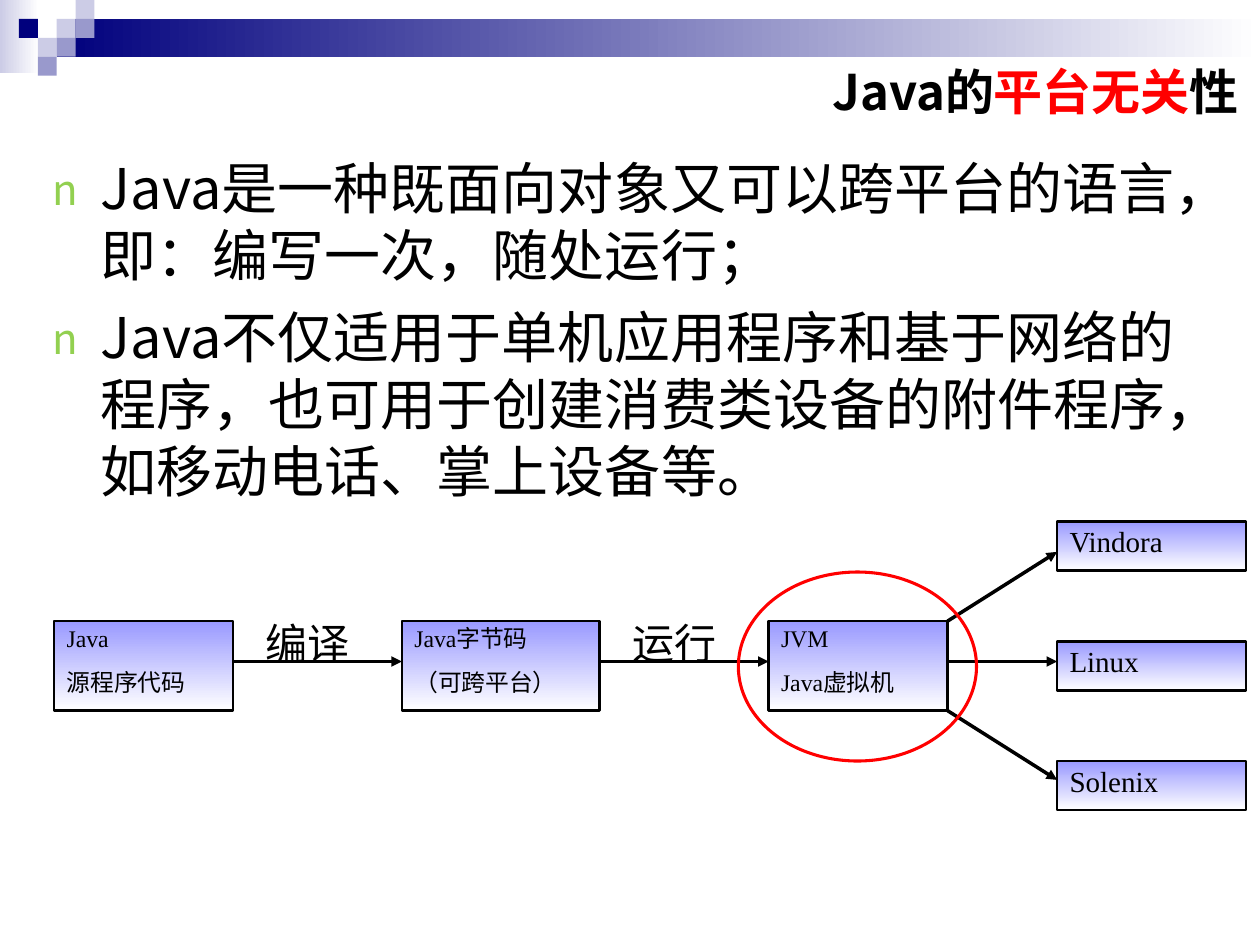
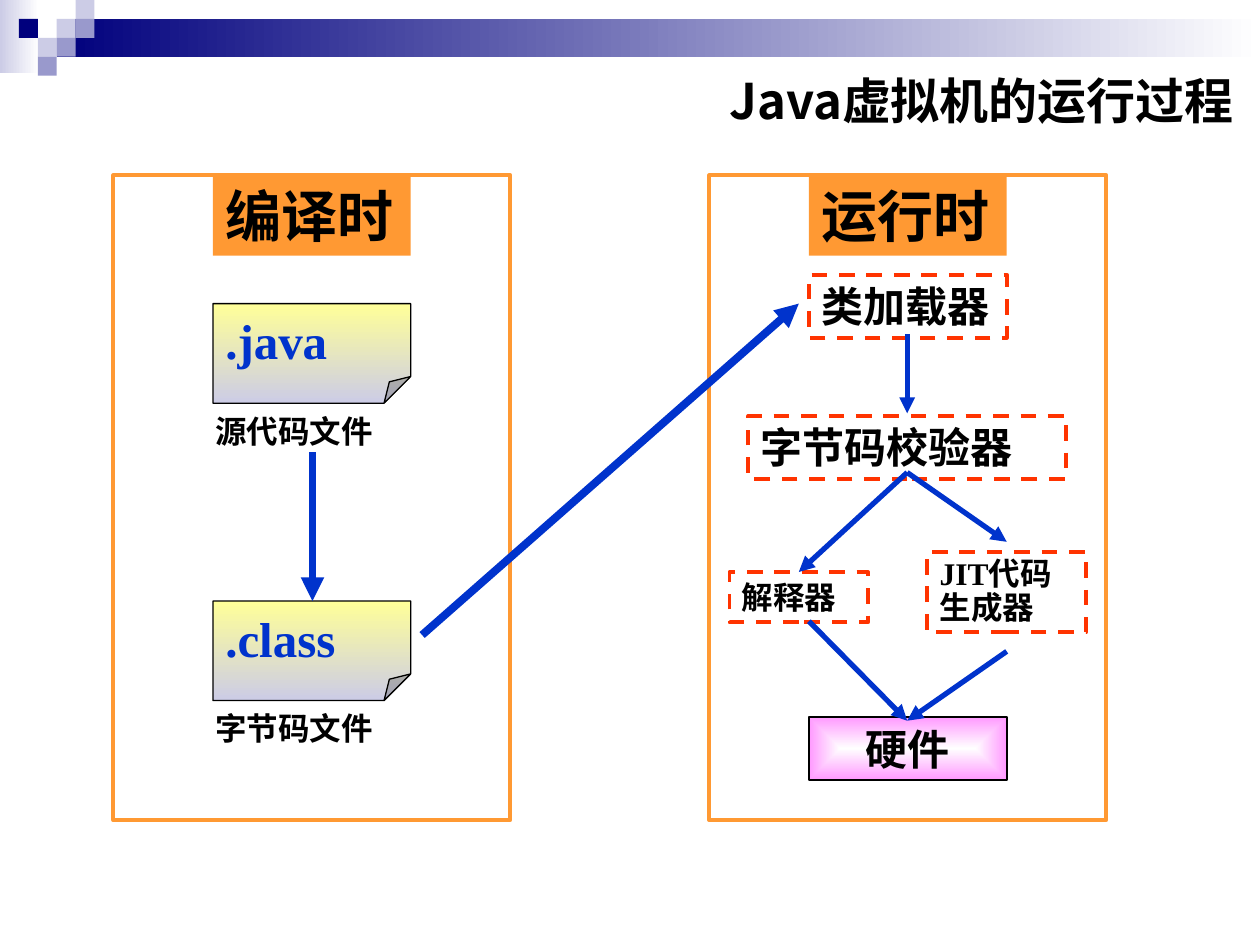
from dataclasses import dataclass
from typing import NamedTuple, Optional

from lxml import etree
from pptx import Presentation, util as u
from pptx.dml.color import RGBColor
from pptx.enum import dml, shapes, text
from pptx.oxml.ns import qn

BLACK = RGBColor(0x00, 0x00, 0x00)
WHITE = RGBColor(0xFF, 0xFF, 0xFF)
RED = RGBColor(0xFF, 0x00, 0x00)
NAVY = RGBColor(0x00, 0x00, 0x7D)
MID = RGBColor(0x99, 0x99, 0xCC)
LIGHT = RGBColor(0xCC, 0xCC, 0xE6)
VIOLET = RGBColor(0x99, 0x99, 0xFF)
BLUE = RGBColor(0x00, 0x33, 0xCC)
ORANGE = RGBColor(0xFF, 0x99, 0x33)
DASH_RED = RGBColor(0xFF, 0x33, 0x00)
YELLOW = RGBColor(0xFF, 0xFF, 0x99)
PINK = RGBColor(0xFF, 0x99, 0xFF)
GREEN = RGBColor(0x92, 0xD0, 0x50)

SANS = "Noto Sans CJK SC"
SERIF = "Times New Roman"
RECT = shapes.MSO_SHAPE.RECTANGLE
TOP, MIDDLE = text.MSO_ANCHOR.TOP, text.MSO_ANCHOR.MIDDLE
LEFT, CENTER, RIGHT = text.PP_ALIGN.LEFT, text.PP_ALIGN.CENTER, text.PP_ALIGN.RIGHT
ACROSS, DOWN = 0, 270
UNIT = 0.15


class Gradient(NamedTuple):
    start: RGBColor
    end: RGBColor
    angle: Optional[int] = None


@dataclass(frozen=True)
class Style:
    geometry: shapes.MSO_SHAPE = RECT
    fill: Optional[RGBColor] = None
    gradient: Optional[Gradient] = None
    line: Optional[RGBColor] = None
    weight: float = 1
    dashed: bool = False
    size: float = 18
    bold: bool = True
    color: RGBColor = BLACK
    align: text.PP_ALIGN = LEFT
    anchor: text.MSO_ANCHOR = TOP
    spacing: float = 1
    before: float = 0


class Box(NamedTuple):
    left: float
    top: float
    width: float
    height: float
    style: Style
    words: str = ""


class Arrow(NamedTuple):
    x1: float
    y1: float
    x2: float
    y2: float
    color: RGBColor
    weight: float


class Square(NamedTuple):
    col: int
    row: int
    color: RGBColor


SQUARES = [
    Square(3, 1, LIGHT), Square(4, 0, LIGHT), Square(4, 1, MID), Square(2, 2, LIGHT),
    Square(1, 1, NAVY), Square(3, 2, MID), Square(2, 3, MID),
]
FADE = Gradient(VIOLET, WHITE, DOWN)
STAGE = Style(gradient=FADE, line=BLACK, weight=1.5, size=13.6, bold=False, spacing=0.9, before=10)
SYSTEM = Style(gradient=FADE, line=BLACK, weight=1.5, size=16.6, bold=False, spacing=0.9)
STEP = Style(size=24, bold=False)
RING = Style(geometry=shapes.MSO_SHAPE.OVAL, line=RED, weight=1.75)
PANEL = Style(line=ORANGE, weight=2.25)
HEADER = Style(fill=ORANGE, size=32)
FILE = Style(geometry=shapes.MSO_SHAPE.FOLDED_CORNER, gradient=Gradient(YELLOW, LIGHT, DOWN),
             line=BLACK, weight=0.75, size=28, color=BLUE, anchor=MIDDLE)
CAPTION = Style(size=18)
PART = Style(line=DASH_RED, weight=2.25, dashed=True, size=24)
SMALL_PART = Style(line=DASH_RED, weight=2.25, dashed=True, size=18)
JIT_PART = Style(line=DASH_RED, weight=2.25, dashed=True, size=18, anchor=MIDDLE, spacing=0.9)
HARDWARE = Style(gradient=Gradient(WHITE, PINK), line=BLACK, weight=1, size=24, align=CENTER)


def format_run(r, font: str, size: float, bold: bool, color: RGBColor) -> None:
    r.font.name = font
    r.font.size = u.Pt(size)
    r.font.bold = bold
    r.font.color.rgb = color
    etree.SubElement(r.font._element, qn("a:ea"), typeface=SANS)


def apply_gradient(sp, gradient: Gradient) -> None:
    sp.fill.gradient()
    for stop, color in zip(sp.fill.gradient_stops, (gradient.start, gradient.end)):
        stop.color.rgb = color
    if gradient.angle is not None:
        sp.fill.gradient_angle = gradient.angle
        return
    grad = sp._element.spPr.find(qn("a:gradFill"))
    grad.remove(grad.find(qn("a:lin")))
    radial = etree.SubElement(grad, qn("a:path"), path="rect")
    etree.SubElement(radial, qn("a:fillToRect"), l="50000", t="50000", r="50000", b="50000")


def write_words(tf, words: str, style: Style) -> None:
    tf.text = words
    tf.word_wrap = True
    tf.vertical_anchor = style.anchor
    for i, p in enumerate(tf.paragraphs):
        p.alignment = style.align
        p.line_spacing = style.spacing
        if i:
            p.space_before = u.Pt(style.before)
        for r in p.runs:
            format_run(r, SERIF, style.size, style.bold, style.color)


def draw_box(s, box: Box) -> None:
    style = box.style
    place = [u.Inches(v) for v in box[:4]]
    if not (style.fill or style.gradient or style.line):
        sp = s.shapes.add_textbox(*place)
    else:
        sp = s.shapes.add_shape(style.geometry, *place)
        sp.shadow.inherit = False
        if style.geometry == shapes.MSO_SHAPE.FOLDED_CORNER:
            guides = next(sp._element.spPr.iter(qn("a:avLst")))
            etree.SubElement(guides, qn("a:gd"), name="adj", fmla="val 26800")
        if style.gradient:
            apply_gradient(sp, style.gradient)
        elif style.fill:
            sp.fill.solid()
            sp.fill.fore_color.rgb = style.fill
        else:
            sp.fill.background()
        if style.line:
            sp.line.color.rgb = style.line
            sp.line.width = u.Pt(style.weight)
            if style.dashed:
                sp.line.dash_style = dml.MSO_LINE.DASH
        else:
            sp.line.fill.background()
    if box.words:
        write_words(sp.text_frame, box.words, style)


def draw_arrow(s, arrow: Arrow) -> None:
    ends = [u.Inches(v) for v in arrow[:4]]
    cx = s.shapes.add_connector(shapes.MSO_CONNECTOR.STRAIGHT, *ends)
    cx.line.color.rgb = arrow.color
    cx.line.width = u.Pt(arrow.weight)
    etree.SubElement(cx.line._get_or_add_ln(), qn("a:tailEnd"), type="triangle")
    etree.SubElement(cx._element.spPr, qn("a:effectLst"))


def draw_band(s) -> None:
    draw_box(s, Box(0, 0, 0.31, 0.58, Style(gradient=Gradient(LIGHT, WHITE, ACROSS))))
    draw_box(s, Box(0.45, UNIT, 9.55, 0.3, Style(gradient=Gradient(NAVY, WHITE, ACROSS))))
    for sq in SQUARES:
        draw_box(s, Box(sq.col * UNIT, sq.row * UNIT, UNIT, UNIT, Style(fill=sq.color)))


def move(sp, left: float, top: float, width: float, height: float) -> None:
    sp.left, sp.top, sp.width, sp.height = (u.Inches(v) for v in (left, top, width, height))


def new_slide(prs, layout: int, left: float, top: float, title: list[tuple[str, RGBColor]]):
    s = prs.slides.add_slide(prs.slide_layouts[layout])
    draw_band(s)
    move(s.shapes.title, left, top, 5.13, 0.55)
    tf = s.shapes.title.text_frame
    tf.auto_size = text.MSO_AUTO_SIZE.NONE
    tf.vertical_anchor = MIDDLE
    p = tf.paragraphs[0]
    p.alignment = RIGHT
    for words, color in title:
        r = p.add_run()
        r.text = words
        format_run(r, SANS, 28, True, color)
    return s


def write_bullets(sp, items: list[str]) -> None:
    tf = sp.text_frame
    tf.text = "\n".join(items)
    tf.auto_size = text.MSO_AUTO_SIZE.NONE
    for i, p in enumerate(tf.paragraphs):
        pPr = p._p.get_or_add_pPr()
        pPr.set("marL", str(u.Inches(0.38)))
        pPr.set("indent", str(-u.Inches(0.38)))
        color = etree.SubElement(pPr, qn("a:buClr"))
        etree.SubElement(color, qn("a:srgbClr"), val=str(GREEN))
        etree.SubElement(pPr, qn("a:buSzPct"), val="75000")
        etree.SubElement(pPr, qn("a:buFont"), typeface=SANS)
        etree.SubElement(pPr, qn("a:buChar"), char="n")
        p.space_before = u.Pt(8 if i else 0)
        for r in p.runs:
            format_run(r, SANS, 32, False, BLACK)


def platform_slide(prs) -> None:
    s = new_slide(prs, 1, 4.8, 0.45, [("Java的", BLACK), ("平台无关", RED), ("性", BLACK)])
    body = s.placeholders[1]
    move(body, 0.32, 1.17, 9.4, 4.69)
    write_bullets(body, [
        "Java是一种既面向对象又可以跨平台的语言，即：编写一次，随处运行；",
        "Java不仅适用于单机应用程序和基于网络的程序，也可用于创建消费类设备的附件程序，如移动电话、掌上设备等。",
    ])
    stage_top, stage_height, flow_y = 4.93, 0.71, 5.25
    stages = [(0.43, 1.42, "Java\n源程序代码"), (3.19, 1.57, "Java字节码\n（可跨平台）"),
              (6.1, 1.42, "JVM\nJava虚拟机")]
    for left, width, words in stages:
        draw_box(s, Box(left, stage_top, width, stage_height, STAGE, words))
    for (left, width, _), following, step in zip(stages, stages[1:], ("编译", "运行")):
        end = left + width
        draw_arrow(s, Arrow(end, flow_y, following[0], flow_y, BLACK, 2))
        draw_box(s, Box(end + 0.16, 4.85, 0.94, 0.5, STEP, step))
    systems = [("Vindora", stage_top, 4.38), ("Linux", flow_y, flow_y),
               ("Solenix", stage_top + stage_height, 6.19)]
    for i, (name, start_y, end_y) in enumerate(systems):
        draw_box(s, Box(8.39, 4.14 + 0.95 * i, 1.5, 0.39, SYSTEM, name))
        draw_arrow(s, Arrow(7.52, start_y, 8.39, end_y, BLACK, 2))
    draw_box(s, Box(5.86, 4.54, 1.89, 1.5, RING))


def machine_slide(prs) -> None:
    s = new_slide(prs, 5, 4.76, 0.52, [("Java虚拟机的运行过程", BLACK)])
    for left, phase in ((0.9, "编译时"), (5.63, "运行时")):
        draw_box(s, Box(left, 1.39, 3.15, 5.12, PANEL))
        draw_box(s, Box(left + 0.79, 1.39, 1.57, 0.64, HEADER, phase))
    for top, suffix, caption in ((2.41, ".java", "源代码文件"), (4.77, ".class", "字节码文件")):
        draw_box(s, Box(1.69, top, 1.57, 0.79, FILE, suffix))
        draw_box(s, Box(1.61, top + 0.81, 1.73, 0.4, CAPTION, caption))
    for part in (
        Box(6.42, 2.18, 1.57, 0.5, PART, "类加载器"),
        Box(5.94, 3.3, 2.52, 0.5, PART, "字节码校验器"),
        Box(5.79, 4.54, 1.1, 0.4, SMALL_PART, "解释器"),
        Box(7.36, 4.38, 1.26, 0.64, JIT_PART, "JIT代码\n生成器"),
        Box(6.42, 5.69, 1.57, 0.5, HARDWARE, "硬件"),
    ):
        draw_box(s, part)
    axis = 7.2
    for ends in ((axis, 2.65, axis, 3.28), (axis, 3.75, 6.34, 4.54), (axis, 3.75, 7.99, 4.3),
                 (6.42, 4.93, axis, 5.72), (7.99, 5.17, axis, 5.72)):
        draw_arrow(s, Arrow(*ends, BLUE, 3))
    for ends in ((2.48, 3.59, 2.48, 4.77), (3.35, 5.04, 6.34, 2.41)):
        draw_arrow(s, Arrow(*ends, BLUE, 4.5))


def main() -> None:
    prs = Presentation()
    prs.slide_width, prs.slide_height = u.Inches(10), u.Inches(7.5)
    platform_slide(prs)
    machine_slide(prs)
    prs.save("out.pptx")


if __name__ == "__main__":
    main()
